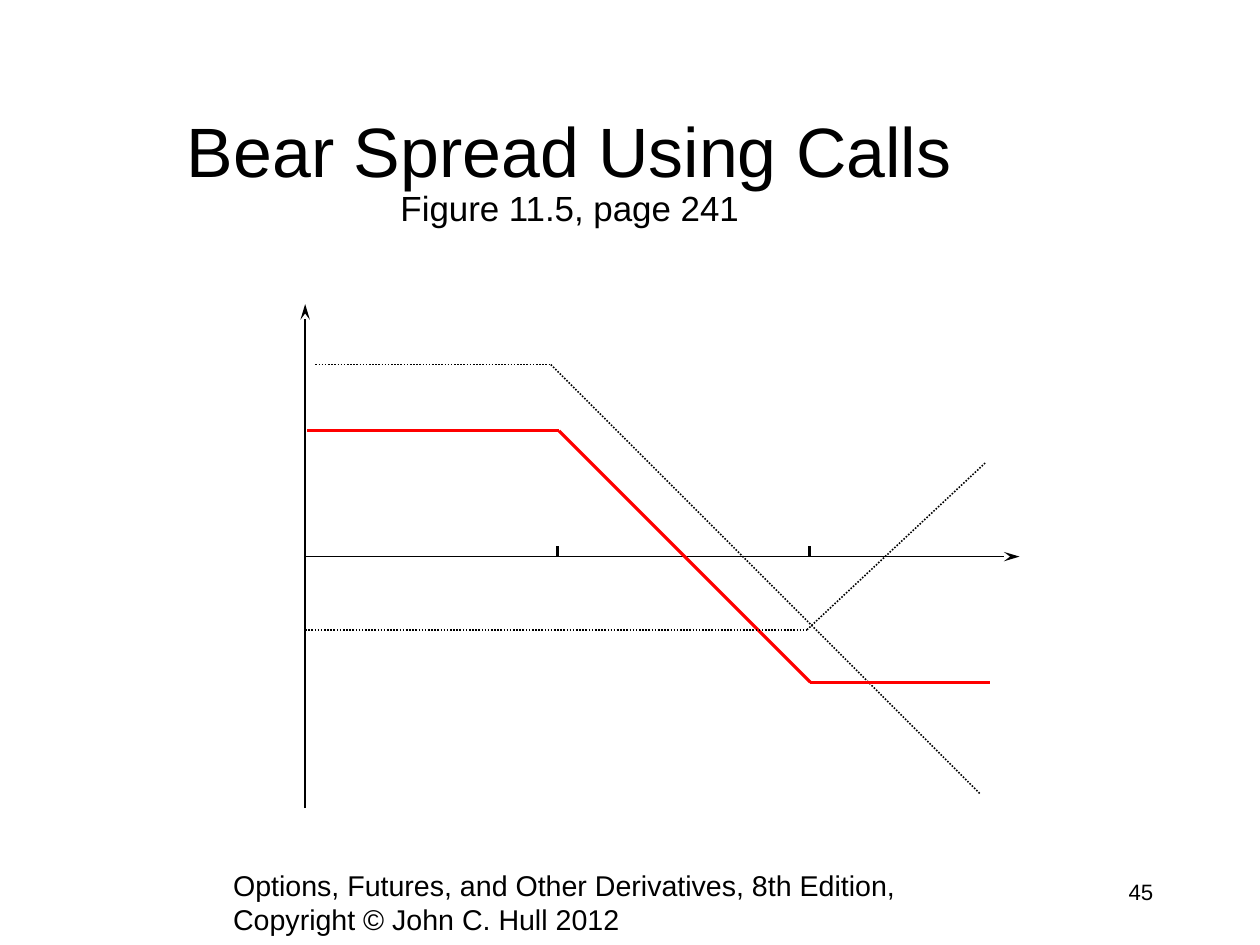
"""Builds the slide on a bear spread made from call options."""
from dataclasses import dataclass
from itertools import pairwise

from pptx import Presentation, util as u
from pptx.dml.color import RGBColor
from pptx.enum import dml, shapes, text
from pptx.oxml.ns import qn
from pptx.slide import Slide
from lxml import etree

PX = 9144
BLACK = "000000"
RED = "FF0000"
ORIGIN_X, ORIGIN_Y = 267, 487
TICK_HEIGHT = 9


@dataclass(frozen=True)
class Path:
    points: tuple[tuple[int, int], ...]
    color: str = BLACK
    weight: int = 1
    dotted: bool = False
    arrow: bool = False


@dataclass(frozen=True)
class Caption:
    box: tuple[int, int, int, int]
    lines: tuple[tuple[str, int], ...]
    align: text.PP_ALIGN = text.PP_ALIGN.LEFT
    anchor: text.MSO_ANCHOR = text.MSO_ANCHOR.TOP
    spacing: float = 1.0


AXES = (
    Path(((ORIGIN_X, 707), (ORIGIN_X, 266)), arrow=True),
    Path(((ORIGIN_X, ORIGIN_Y), (892, ORIGIN_Y)), arrow=True),
)
STRIKES = tuple(
    Path(((x, ORIGIN_Y), (x, ORIGIN_Y - TICK_HEIGHT)), weight=2) for x in (488, 708)
)
SHORT_CALL = Path(((276, 319), (482, 319), (858, 695)), dotted=True)
BEAR_SPREAD = Path(((269, 377), (489, 377), (709, 597), (866, 597)), RED, 2)
LONG_CALL = Path(((267, 551), (706, 551), (862, 405)), dotted=True)

FOOTER = Caption(
    (193, 753, 606, 55),
    (("Options, Futures, and Other Derivatives, 8th Edition, "
      "Copyright © John C. Hull 2012", 18),),
)
TITLE = Caption(
    (30, 83, 937, 138),
    (("Bear Spread Using Calls", 44), ("Figure 11.5, page 241", 22)),
    text.PP_ALIGN.CENTER, text.MSO_ANCHOR.MIDDLE, 0.87,
)
PAGE_NUMBER = Caption((790, 762, 230, 55), (("45", 14),), text.PP_ALIGN.RIGHT)


def px(length: int) -> u.Emu:
    return u.Emu(length * PX)


def rgb(color: str) -> RGBColor:
    return RGBColor.from_string(color)


def draw_path(slide: Slide, path: Path) -> None:
    for start, end in pairwise(path.points):
        segment = slide.shapes.add_connector(
            shapes.MSO_CONNECTOR.STRAIGHT, *map(px, start + end))
        segment.line.color.rgb = rgb(path.color)
        segment.line.width = u.Pt(path.weight)
        if path.dotted:
            segment.line.dash_style = dml.MSO_LINE.ROUND_DOT
        properties = segment._element.spPr
        if path.arrow:
            etree.SubElement(properties.find(qn("a:ln")), qn("a:tailEnd"),
                             type="stealth", w="med", len="lg")
        etree.SubElement(properties, qn("a:effectLst"))


def draw_caption(slide: Slide, caption: Caption) -> None:
    frame = slide.shapes.add_textbox(*map(px, caption.box)).text_frame
    frame.word_wrap = True
    frame.vertical_anchor = caption.anchor
    frame.margin_left = frame.margin_right = px(11)
    frame.margin_top = frame.margin_bottom = px(6)
    paragraph = frame.paragraphs[0]
    paragraph.alignment = caption.align
    paragraph.line_spacing = caption.spacing
    main_size = caption.lines[0][1]
    paragraph.font.name = "Arial"
    paragraph.font.size = u.Pt(main_size)
    paragraph.font.color.rgb = rgb(BLACK)
    for index, (words, size) in enumerate(caption.lines):
        if index:
            paragraph.add_line_break()
        run = paragraph.add_run()
        run.text = words
        if size != main_size:
            run.font.size = u.Pt(size)


def main() -> None:
    deck = Presentation()
    deck.slide_width, deck.slide_height = u.Cm(28), u.Cm(21)
    slide = deck.slides.add_slide(deck.slide_layouts[6])
    for caption in (FOOTER, TITLE):
        draw_caption(slide, caption)
    for path in (*AXES, *STRIKES, SHORT_CALL, BEAR_SPREAD, LONG_CALL):
        draw_path(slide, path)
    draw_caption(slide, PAGE_NUMBER)
    deck.save("out.pptx")


if __name__ == "__main__":
    main()
